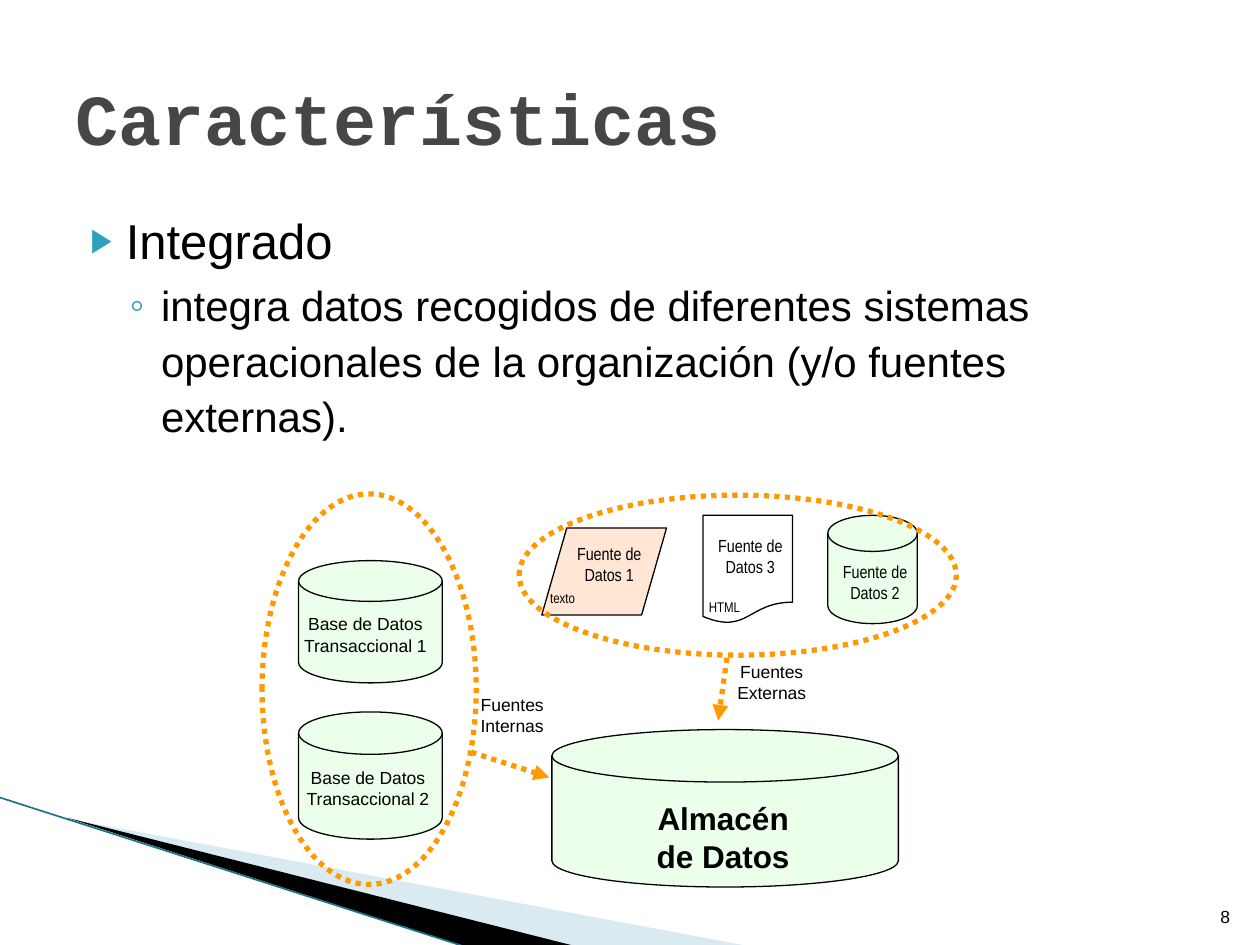
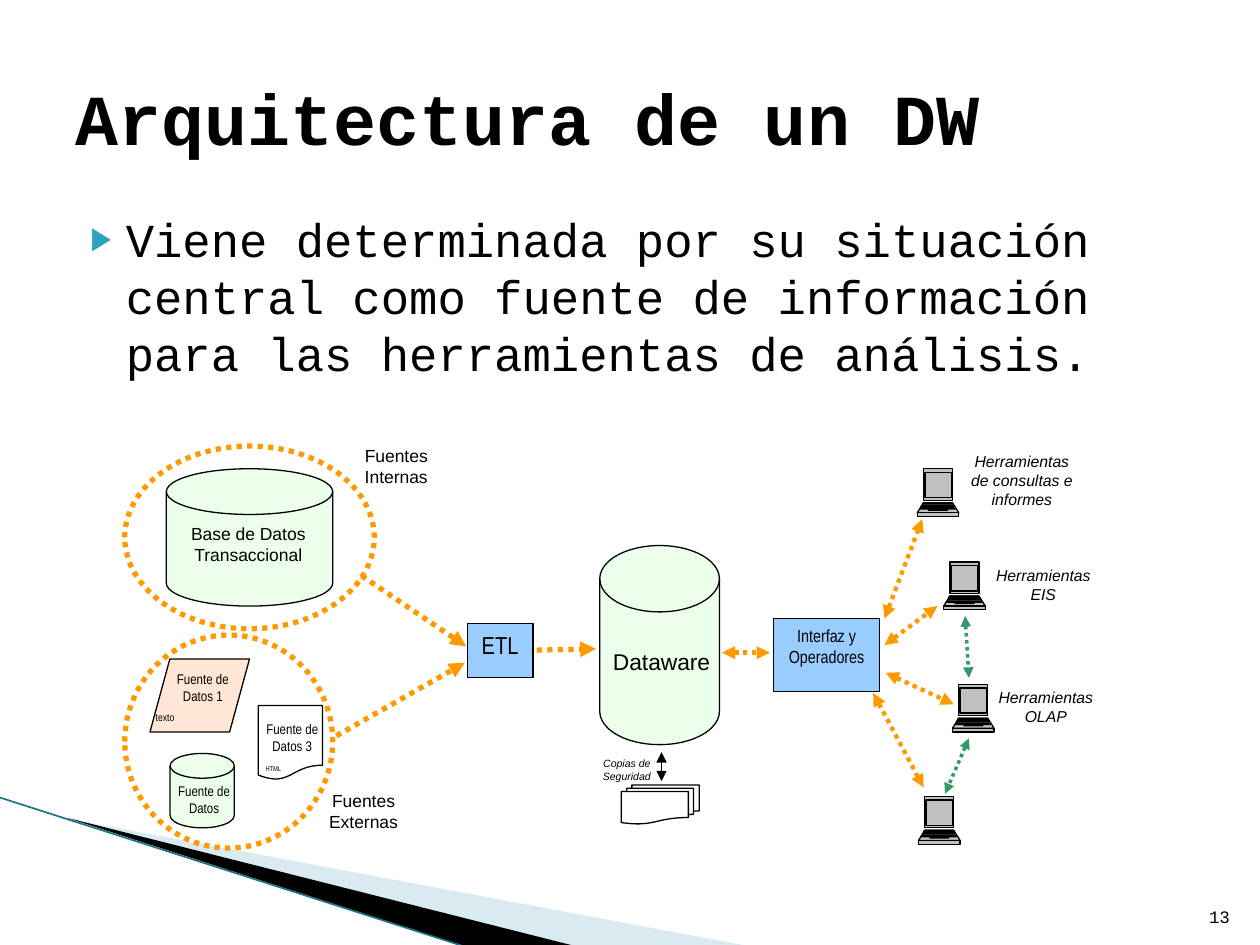
from lxml import etree
from pptx import Presentation
from pptx.dml.color import RGBColor
from pptx.enum.dml import MSO_LINE as Dash
from pptx.enum.shapes import MSO_CONNECTOR as Conn, MSO_SHAPE as Kind
from pptx.enum.text import MSO_ANCHOR as Anchor, PP_ALIGN as Align
from pptx.oxml.ns import qn
from pptx.util import Inches, Pt

COLORS = {
    "black": "000000", "white": "FFFFFF", "title": "464646",
    "green": "EBFFEB", "peach": "FFE6D5", "blue": "99CCFF",
    "grey": "C0C0C0", "orange": "FF9900", "leaf": "339966",
    "bullet": "2DA2BF", "pale": "A0CBDC", "edge": "1F7388",
}
SANS, SLIM, MONO = "Arial", "Arial Narrow", "Courier New"
DISK = Kind.FLOWCHART_MAGNETIC_DISK
SHEET = Kind.FLOWCHART_DOCUMENT
SLANT = Kind.FLOWCHART_DATA
TIGHT = (0.06, 0.05)


def rgb(name):
    return RGBColor.from_string(COLORS[name])


def sub(node, tag, **attrs):
    return etree.SubElement(node, qn(tag), attrs)


# Basic parts
def style(item, fill=None, line="black", width=0.75, dash=None):
    item.shadow.inherit = False
    if fill:
        item.fill.solid()
        item.fill.fore_color.rgb = rgb(fill)
    else:
        item.fill.background()
    if line:
        stroke(item, line, width, dash)
    else:
        item.line.fill.background()
    return item


def stroke(item, color, width, dash):
    item.line.color.rgb = rgb(color)
    item.line.width = Pt(width)
    if dash:
        item.line.dash_style = dash


def shape(slide, kind, box, fill=None, **look):
    item = slide.shapes.add_shape(kind, *map(Inches, box))
    return style(item, fill, **look)


def ring(slide, box):
    return shape(slide, Kind.OVAL, box, line="orange", width=3,
                 dash=Dash.ROUND_DOT)


def poly(slide, points, fill, close=True, **look):
    spots = [(Inches(x), Inches(y)) for x, y in points]
    pen = slide.shapes.build_freeform(*spots[0], scale=1.0)
    pen.add_line_segments(spots[1:], close=close)
    return style(pen.convert_to_shape(), fill, **look)


def link(slide, start, end, color="orange", width=3.0, dash=Dash.ROUND_DOT,
         ends=("tailEnd",)):
    line = slide.shapes.add_connector(
        Conn.STRAIGHT, *map(Inches, (*start, *end)))
    stroke(line, color, width, dash)
    outline = line.line._get_or_add_ln()
    for end_tag in ends:
        sub(outline, "a:" + end_tag, type="triangle")
    sub(line._element.spPr, "a:effectLst")


def both(slide, start, end, **look):
    link(slide, start, end, ends=("headEnd", "tailEnd"), **look)


def write(frame, text, size=10, font=SANS, color="black", bold=False,
          italic=False, align=Align.CENTER, anchor=Anchor.TOP,
          inset=(0.1, 0.05), more=False):
    frame.word_wrap = True
    frame.vertical_anchor = anchor
    frame.margin_left = frame.margin_right = Inches(inset[0])
    frame.margin_top = frame.margin_bottom = Inches(inset[1])
    para = frame.add_paragraph() if more else frame.paragraphs[0]
    para.alignment = align
    run = para.add_run()
    run.text = text
    run.font.name, run.font.size = font, Pt(size)
    run.font.bold, run.font.italic = bold, italic
    run.font.color.rgb = rgb(color)
    return para


def label(slide, box, text, **look):
    frame = slide.shapes.add_textbox(*map(Inches, box)).text_frame
    write(frame, text, **look)
    return frame


def node(slide, kind, box, fill, text, area, **look):
    shape(slide, kind, box, fill)
    label(slide, area, text, **look)


def bullet(para, mark, left, hang, before, scale=None):
    para.space_before = Pt(before)
    props = para._p.get_or_add_pPr()
    props.set("marL", str(Inches(left)))
    props.set("indent", str(Inches(-hang)))
    sub(sub(props, "a:buClr"), "a:srgbClr", val=COLORS["bullet"])
    if scale:
        sub(props, "a:buSzPct", val=str(scale * 1000))
    sub(props, "a:buFont", typeface=SANS)
    sub(props, "a:buChar", char=mark)


# Shared frame: bands, title and page number
def base(deck, title, page, color="black", font=MONO):
    slide = deck.slides.add_slide(deck.slide_layouts[6])
    band = poly(slide, [(0.55, 6.5), (5.95, 7.51), (4.56, 7.51)], "pale",
                line=None)
    tint = band.fill._xPr.find(qn("a:solidFill"))[0]
    sub(tint, "a:alpha", val="40000")
    poly(slide, [(0.53, 6.49), (4.57, 7.51), (3.72, 7.52)], "black",
         line=None)
    link(slide, (0, 6.33), (3.71, 7.52), color="edge", width=0.95,
         dash=None, ends=())
    label(slide, (0.5, 0.3, 9, 1.25), title, size=41, font=MONO, bold=True,
          color=color, align=Align.LEFT, anchor=Anchor.MIDDLE)
    label(slide, (9.46, 7.01, 0.4, 0.4), page, font=font,
          align=Align.RIGHT, anchor=Anchor.BOTTOM)
    return slide


def lead(slide, height, text, **look):
    frame = label(slide, (0.5, 1.62, 9, height), text, align=Align.LEFT,
                  **look)
    bullet(frame.paragraphs[0], "▶", 0.4, 0.28, 4, 68)
    return frame


# Slide 1 regions
def inner(slide, x, y):
    for num, top, high, drop in ((1, 0.53, 0.97, 0.37), (2, 1.73, 1.01, 0.39)):
        node(slide, DISK, (x + 0.29, y + top, 1.14, high), "green",
             f"Base de Datos Transaccional {num}",
             (x + 0.02 + 0.02 * num, y + top + drop, 1.56, 0.6))
    ring(slide, (x, y, 1.7, 3.1))
    label(slide, (x + 1.52, y + 1.54, 0.93, 0.63), "Fuentes Internas")
    link(slide, (x + 1.66, y + 2.05), (x + 2.28, y + 2.25))


def outer(slide, x, y):
    node(slide, SLANT, (x + 0.18, y + 0.26, 0.99, 0.69), "peach",
         "Fuente de Datos 1", (x + 0.29, y + 0.33, 0.85, 0.51), font=SLIM)
    label(slide, (x - 0.06, y + 0.7, 0.81, 0.3), "texto", size=8, font=SLIM)
    for num, kind, fill, left, drop in ((3, SHEET, "white", 1.46, 0.27),
                                        (2, DISK, "green", 2.45, 0.47)):
        node(slide, kind, (x + left, y + 0.16, 0.71, 0.86), fill,
             f"Fuente de Datos {num}",
             (x + left - 0.09, y + drop, 0.93, 0.63), font=SLIM)
    label(slide, (x + 1.39, y + 0.77, 0.48, 0.32), "HTML", size=8, font=SLIM,
          inset=(0, 0.05))
    ring(slide, (x, y, 3.47, 1.27))
    label(slide, (x + 1.54, y + 1.27, 0.93, 0.63), "Fuentes Externas")
    link(slide, (x + 1.65, y + 1.29), (x + 1.58, y + 1.79))


def traits(deck):
    slide = base(deck, "Características", "8", color="title", font=SANS)
    frame = lead(slide, 3.07, "Integrado", size=28)
    para = write(frame, "integra datos recogidos de diferentes sistemas "
                 "operacionales de la organización (y/o fuentes externas).",
                 size=24, align=Align.LEFT, more=True)
    para.line_spacing = 1.1
    bullet(para, "◦", 0.68, 0.25, 3.2)
    inner(slide, 2.08, 3.92)
    outer(slide, 4.12, 3.93)
    node(slide, DISK, (4.38, 5.79, 2.75, 1.25), "green", "Almacén de Datos",
         (4.96, 6.29, 1.56, 0.69), size=18, bold=True)


# Slide 2 regions
def local(slide, x, y):
    node(slide, DISK, (x + 0.33, y + 0.18, 1.32, 1.09), "green",
         "Base de Datos Transaccional", (x + 0.17, y + 0.56, 1.62, 0.74))
    ring(slide, (x, y, 1.98, 1.45))
    label(slide, (x + 1.62, y - 0.06, 1.07, 0.68), "Fuentes Internas")
    link(slide, (x + 1.88, y + 1.03), (x + 2.71, y + 1.59))


def remote(slide, x, y):
    small = dict(size=8, font=SLIM, inset=(0.1, 0.04))
    node(slide, SLANT, (x + 0.2, y + 0.19, 0.79, 0.58), "peach",
         "Fuente de Datos 1", (x + 0.28, y + 0.24, 0.68, 0.42), **small)
    label(slide, (x, y + 0.56, 0.64, 0.25), "texto", **{**small, "size": 6})
    for kind, fill, left, top, drop, text in (
            (DISK, "green", 0.36, 0.94, 0.19, "Fuente de Datos"),
            (SHEET, "white", 1.06, 0.56, 0.08, "Fuente de Datos 3")):
        node(slide, kind, (x + left, y + top, 0.51, 0.59), fill, text,
             (x + left - 0.06, y + top + drop, 0.66, 0.43), **small)
    label(slide, (x + 1.01, y + 0.98, 0.34, 0.22), "HTML", size=4, font=SLIM,
          inset=(0, 0.05))
    ring(slide, (x, y, 1.65, 1.69))
    label(slide, (x + 1.36, y + 1.18, 1.07, 0.69), "Fuentes Externas")
    link(slide, (x + 1.68, y + 0.8), (x + 2.7, y + 0.22))


def core(slide, x, y):
    for left, top, wide, high, text, size in (
            (0, 0.62, 0.52, 0.43, "ETL", 14),
            (2.43, 0.58, 0.84, 0.58, "Interfaz y Operadores", 10)):
        item = shape(slide, Kind.RECTANGLE, (x + left, y + top, wide, high),
                     "blue")
        write(item.text_frame, text, size=size, font=SLIM, inset=TIGHT)
    node(slide, DISK, (x + 1.05, y, 0.95, 1.58), "green", "Dataware",
         (x + 0.99, y + 0.76, 1.1, 0.5), size=13)
    link(slide, (x + 0.55, y + 0.83), (x + 1.02, y + 0.82))
    both(slide, (x + 2.02, y + 0.85), (x + 2.4, y + 0.85), width=2.5)


def backup(slide, x, y):
    shape(slide, Kind.FLOWCHART_MULTIDOCUMENT,
          (x + 0.25, y + 0.27, 0.62, 0.31), "white")
    both(slide, (x + 0.57, y + 0.01), (x + 0.57, y + 0.24), color="black",
         width=0.75, dash=None)
    label(slide, (x, y, 0.59, 0.3), "Copias de Seguridad", size=6,
          italic=True, inset=TIGHT)


def laptop(slide, x, y):
    # Each part: top, bottom, then left and right at both
    for top, low, a, b, c, d in (
            (0, 0.25, 0.05, 0.28, 0.05, 0.28),
            (0.27, 0.35, 0.05, 0.28, 0, 0.33),
            (0.35, 0.38, 0, 0.33, 0, 0.33),
            (0.03, 0.23, 0.06, 0.27, 0.06, 0.27),
            (0.27, 0.28, 0.05, 0.28, 0.04, 0.28),
            (0.32, 0.33, 0.09, 0.23, 0.09, 0.24),
            (0.29, 0.3, 0.04, 0.29, 0.03, 0.29),
            (0.31, 0.32, 0.03, 0.29, 0.02, 0.3)):
        poly(slide, [(x + a, y + top), (x + b, y + top),
                     (x + d, y + low), (x + c, y + low)], "grey")


def tools(slide, x, y):
    for left, top in ((0, 0), (0.21, 0.74), (0.28, 1.71), (0.01, 2.6)):
        laptop(slide, x + left, y + top)
    for left, top, text in (
            (0.34, -0.18, "Herramientas de consultas e informes"),
            (0.51, 0.72, "Herramientas EIS"),
            (0.53, 1.69, "Herramientas OLAP")):
        label(slide, (x + left, y + top, 0.98, 0.6), text, size=9,
              italic=True, inset=TIGHT)
    for a, b, c, d in ((-0.26, 1.19, 0.04, 0.4), (-0.26, 1.4, 0.16, 1.09),
                       (-0.25, 1.62, 0.29, 1.87), (-0.35, 1.78, 0.05, 2.53)):
        both(slide, (x + a, y + b), (x + c, y + d), width=2.5)
    for a, b, c, d in ((0.38, 1.17, 0.41, 1.66), (0.41, 2.14, 0.22, 2.58)):
        both(slide, (x + a, y + b), (x + c, y + d), color="leaf", width=2)


def design(deck):
    slide = base(deck, "Arquitectura de un DW", "13")
    lead(slide, 1.89, "Viene determinada por su situación central como "
         "fuente de información para las herramientas de análisis.",
         size=27, font=MONO)
    local(slide, 0.99, 3.54)
    remote(slide, 0.99, 5.04)
    core(slide, 3.71, 4.33)
    backup(slide, 4.68, 5.96)
    tools(slide, 7.28, 3.72)


def main():
    deck = Presentation()
    deck.slide_width, deck.slide_height = Inches(10), Inches(7.5)
    traits(deck)
    design(deck)
    deck.save("out.pptx")


if __name__ == "__main__":
    main()
